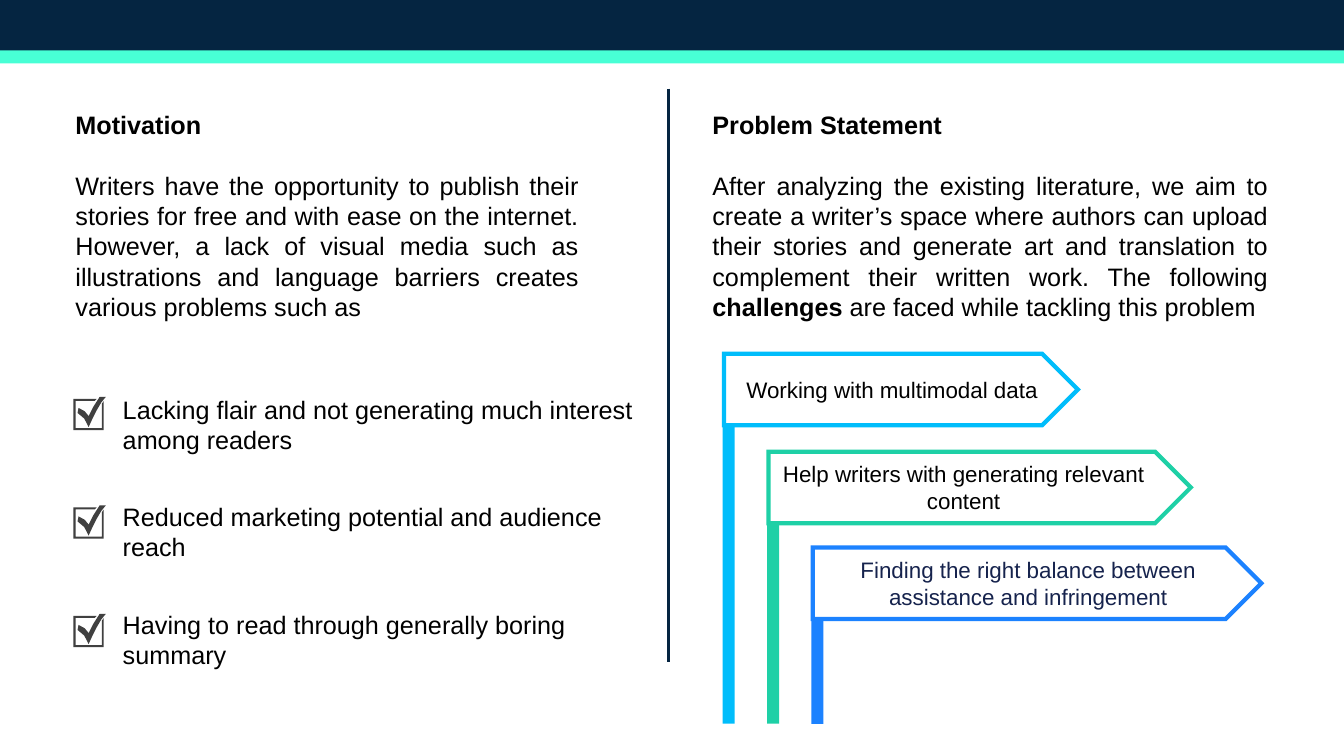
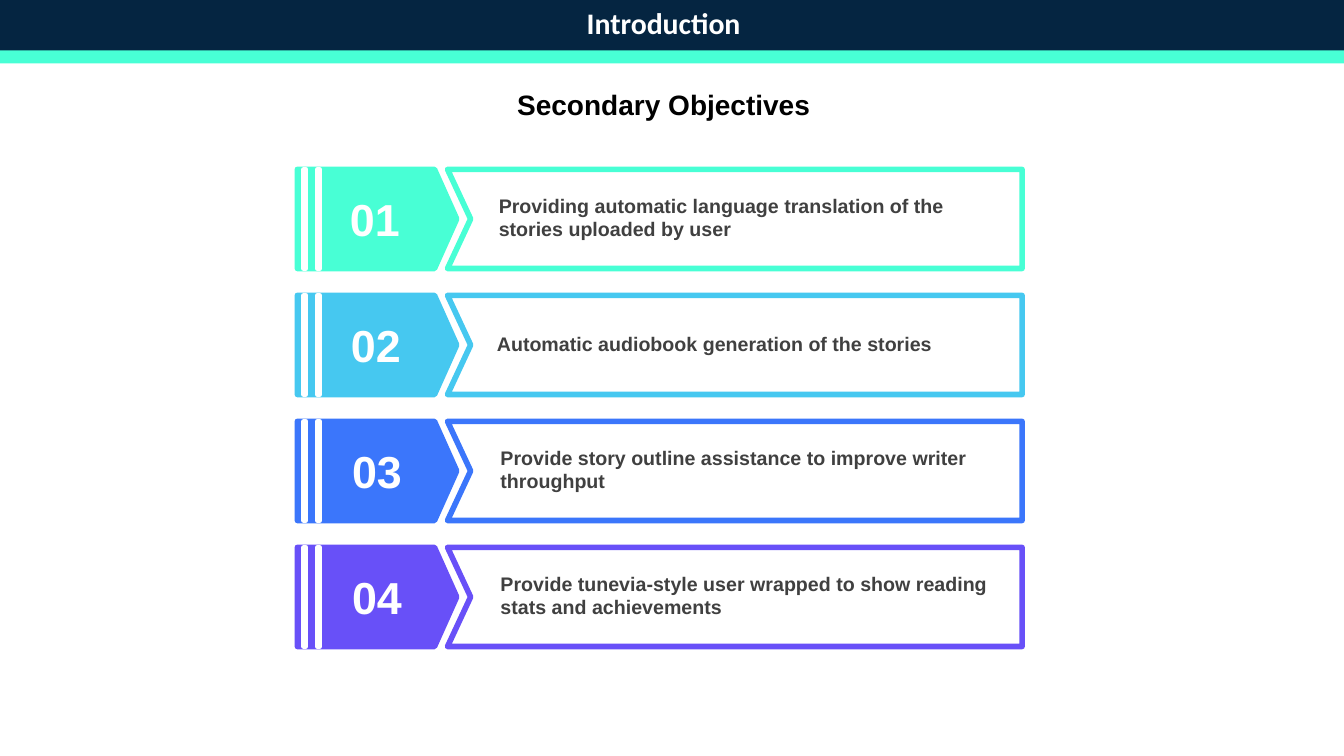
from dataclasses import dataclass

from lxml import etree
from pptx import Presentation
from pptx.dml.color import RGBColor
from pptx.enum.shapes import MSO_CONNECTOR, MSO_SHAPE
from pptx.enum.text import MSO_ANCHOR, PP_ALIGN
from pptx.oxml.ns import qn
from pptx.shapes.autoshape import Shape
from pptx.shapes.shapetree import GroupShapes, SlideShapes
from pptx.slide import Slide
from pptx.util import Pt

RECT, PENTAGON = MSO_SHAPE.RECTANGLE, MSO_SHAPE.PENTAGON
STRAIGHT = MSO_CONNECTOR.STRAIGHT
LEFT, CENTER, JUSTIFY = PP_ALIGN.LEFT, PP_ALIGN.CENTER, PP_ALIGN.JUSTIFY
TOP, MIDDLE = MSO_ANCHOR.TOP, MSO_ANCHOR.MIDDLE

Shapes = SlideShapes | GroupShapes
Box = tuple[float, float, float, float]
Points = list[tuple[float, float]]


@dataclass(frozen=True)
class Theme:
    navy: str = "052541"
    mint: str = "48FFD5"
    white: str = "FFFFFF"
    black: str = "000000"
    ink: str = "16234D"
    grey: str = "404040"
    cyan: str = "00BDFB"
    green: str = "1ED0A6"
    blue: str = "1C82FF"
    sky: str = "46C8F0"
    royal: str = "3B76FB"
    violet: str = "6850F8"
    font: str = "Arial"
    title_font: str = "Calibri"
    title: float = 21.3
    heading: float = 20
    body: float = 18
    label: float = 16
    note: float = 14
    number: float = 32


T = Theme()
WIDTH, HEIGHT = 960, 540
BODY_LINE = 21.6


@dataclass(frozen=True)
class Run:
    text: str
    size: float = T.body
    color: str = T.black
    bold: bool = False
    font: str = T.font


@dataclass(frozen=True)
class Para:
    runs: list[Run]
    align: PP_ALIGN = LEFT
    after: float = 0


@dataclass(frozen=True)
class Column:
    left: float
    width: float
    heading: str
    body: list[Run]


@dataclass(frozen=True)
class Sign:
    text: str
    color: str
    text_color: str
    top: float
    width: float
    pole_top: float
    right_inset: float = 7.2


@dataclass(frozen=True)
class Objective:
    text: str
    color: str
    number_left: float
    text_left: float
    text_width: float


def paint(s: Shape, fill: str, line: str = "", weight: float = 0,
          miter: bool = False) -> None:
    s.shadow.inherit = False
    s.fill.solid()
    s.fill.fore_color.rgb = RGBColor.from_string(fill)
    if not line:
        s.line.fill.background()
        return
    s.line.color.rgb = RGBColor.from_string(line)
    s.line.width = Pt(weight)
    if miter:
        ln = s._element.spPr.find(qn("a:ln"))
        etree.SubElement(ln, qn("a:miter")).set("lim", "800000")


def add_block(shapes: Shapes, kind: MSO_SHAPE, box: Box, fill: str,
              line: str = "", weight: float = 0, miter: bool = False) -> Shape:
    s = shapes.add_shape(kind, *map(Pt, box))
    paint(s, fill, line, weight, miter)
    return s


def add_outline(shapes: Shapes, contours: list[Points], fill: str,
                line: str = "", weight: float = 0) -> Shape:
    first, *rest = [[(Pt(x), Pt(y)) for x, y in c] for c in contours]
    builder = shapes.build_freeform(*first[0])
    builder.add_line_segments(first[1:])
    for c in rest:
        builder.move_to(*c[0])
        builder.add_line_segments(c[1:])
    s = builder.convert_to_shape()
    paint(s, fill, line, weight)
    return s


def write(s: Shape, paras: list[Para], anchor: MSO_ANCHOR = TOP) -> None:
    tf = s.text_frame
    tf.word_wrap = True
    tf.vertical_anchor = anchor
    for i, para in enumerate(paras):
        p = tf.add_paragraph() if i else tf.paragraphs[0]
        p.alignment = para.align
        p.space_after = Pt(para.after)
        for run in para.runs:
            r = p.add_run()
            r.text = run.text
            r.font.name = run.font
            r.font.size = Pt(run.size)
            r.font.bold = run.bold
            r.font.color.rgb = RGBColor.from_string(run.color)


def add_text(sld: Slide, box: Box, paras: list[Para],
             anchor: MSO_ANCHOR = TOP) -> Shape:
    s = sld.shapes.add_textbox(*map(Pt, box))
    write(s, paras, anchor)
    return s


def add_slide(title: str = "") -> Slide:
    sld = prs.slides.add_slide(prs.slide_layouts[6])
    add_block(sld.shapes, RECT, (0, 0, WIDTH, 36), T.navy, T.navy, 2)
    add_block(sld.shapes, RECT, (-0.7, 36, 964, 9.2), T.mint)
    if title:
        run = Run(title, T.title, T.white, True, T.title_font)
        add_text(sld, (347, 0, 254, 33), [Para([run], CENTER)])
    return sld


# Slide 1: motivation and problem statement
COLUMNS = [
    Column(46.8, 373.7, "Motivation", [
        Run("Writers have the opportunity to publish their stories for free "
            "and with ease on the internet. However, a lack of visual media "
            "such as illustrations and language barriers creates various "
            "problems such as")]),
    Column(501.8, 411.1, "Problem Statement", [
        Run("After analyzing the existing literature, we aim to create a "
            "writer’s space where authors can upload their stories and "
            "generate art and translation to complement their written work. "
            "The following "),
        Run("challenges", bold=True),
        Run(" are faced while tackling this problem")]),
]
PROBLEMS = [
    "Lacking flair and not generating much interest among readers",
    "Reduced marketing potential and audience reach",
    "Having to read through generally boring summary",
]
SIGNS = [
    Sign("Working with multimodal data", T.cyan, T.black, 252.7, 252.7, 287.3),
    Sign("Help writers with generating relevant content",
         T.green, T.black, 322.6, 301.7, 332.6, 17.2),
    Sign("Finding the right balance between assistance and infringement",
         T.blue, T.ink, 391, 320.4, 391),
]
TICK_BOX = [(0.7, 1.4), (17.3, 1.4), (15.8, 2.9), (2.2, 2.9), (2.2, 22.3),
            (20.9, 22.3), (20.9, 5), (22.3, 3), (22.3, 23.8), (0.7, 23.8),
            (0.7, 1.4)]
TICK = [(23.8, 0), (20.5, 4.1), (17.4, 9.4), (14.3, 15.5), (11.5, 21.6),
        (8.4, 15.5), (3.6, 11.5), (4.3, 7.9), (8.7, 10.3), (11.5, 13.7),
        (14.7, 7.4), (19.4, 0), (23.8, 0)]
POLE_LEFT, POLE_STEP, POLE_WIDTH, POLE_BOTTOM = 516.2, 31.7, 8.6, 517
PLATE_HEIGHT = 51.1


def add_checkbox(sld: Slide, left: float, top: float) -> None:
    contours = [[(left + x, top + y) for x, y in c] for c in (TICK_BOX, TICK)]
    add_outline(sld.shapes, contours, T.grey)


def add_sign(sld: Slide, sign: Sign, left: float) -> None:
    pole = (left, sign.pole_top, POLE_WIDTH, POLE_BOTTOM - sign.pole_top)
    add_block(sld.shapes, RECT, pole, sign.color)
    plate = (left + 1, sign.top, sign.width, PLATE_HEIGHT)
    s = add_block(sld.shapes, PENTAGON, plate, T.white, sign.color, 3, True)
    s.text_frame.margin_right = Pt(sign.right_inset)
    run = Run(sign.text, T.label, sign.text_color)
    write(s, [Para([run], CENTER)], MIDDLE)


def build_motivation() -> None:
    sld = add_slide()
    for c in COLUMNS:
        add_text(sld, (c.left, 74.9, c.width, 160), [
            Para([Run(c.heading, bold=True)], JUSTIFY, BODY_LINE),
            Para(c.body, JUSTIFY)])

    # Divider
    line = sld.shapes.add_connector(STRAIGHT, Pt(477.4), Pt(63.4),
                                    Pt(477.4), Pt(473))
    line.line.color.rgb = RGBColor.from_string(T.navy)
    line.line.width = Pt(2.25)
    etree.SubElement(line._element.spPr, qn("a:effectLst"))

    # Checklist
    for i in range(len(PROBLEMS)):
        add_checkbox(sld, 51.8, 283.5 + 77.5 * i)
    add_text(sld, (80.6, 277.9, 380.2, 206),
             [Para([Run(t)], after=BODY_LINE + 12) for t in PROBLEMS])

    # Signposts
    for i, sign in enumerate(SIGNS):
        add_sign(sld, sign, POLE_LEFT + POLE_STEP * i)


# Slide 2: secondary objectives
OBJECTIVES = [
    Objective("Providing automatic language translation of the stories "
              "uploaded by user", T.mint, 238.3, 349.2, 380),
    Objective("Automatic audiobook generation of the stories",
              T.sky, 239, 347.8, 363.6),
    Objective("Provide story outline assistance to improve writer throughput",
              T.royal, 239.8, 350.4, 363.6),
    Objective("Provide tunevia-style user wrapped to show reading stats and "
              "achievements", T.violet, 239.8, 350.4, 363.6),
]
ROW_TOP, ROW_STEP, ROW_HEIGHT = 121, 90, 70.8
PANEL_LEFT, PANEL_RIGHT, NOTCH = 319.7, 730.1, 16.5


def add_objective(sld: Slide, number: int, item: Objective) -> None:
    top = ROW_TOP + ROW_STEP * (number - 1)
    mid, bottom = top + ROW_HEIGHT / 2, top + ROW_HEIGHT

    # Notched panel, number tag and stripes
    shapes = sld.shapes.add_group_shape().shapes
    panel = [(PANEL_LEFT, top), (PANEL_RIGHT, top), (PANEL_RIGHT, bottom),
             (PANEL_LEFT, bottom), (PANEL_LEFT + NOTCH, mid),
             (PANEL_LEFT, top)]
    add_outline(shapes, [panel], T.white, item.color, 4)
    tag = add_block(shapes, PENTAGON, (212.4, top, 113.8, ROW_HEIGHT),
                    item.color, item.color, 4)
    tag.adjustments[0] = 0.224
    for x in (217, 226.8):
        add_block(shapes, RECT, (x, top, 1.4, ROW_HEIGHT), T.white, T.white, 4)

    # Number and wording
    run = Run(f"{number:02d}", T.number, T.white, True)
    s = add_text(sld, (item.number_left, mid - 19.4, 59, 38.8),
                 [Para([run], CENTER)], MIDDLE)
    s.text_frame.margin_top = s.text_frame.margin_bottom = 0
    run = Run(item.text, T.note, T.grey, True)
    add_text(sld, (item.text_left, mid - 21.6, item.text_width, 41),
             [Para([run])], MIDDLE)


def build_objectives() -> None:
    sld = add_slide("Introduction")
    heading = Run("Secondary Objectives", T.heading, bold=True)
    add_text(sld, (277.2, 59.2, 393.8, 34), [Para([heading], CENTER)])
    for number, item in enumerate(OBJECTIVES, 1):
        add_objective(sld, number, item)


prs = Presentation()
prs.slide_width, prs.slide_height = Pt(WIDTH), Pt(HEIGHT)
build_motivation()
build_objectives()
prs.save("out.pptx")
